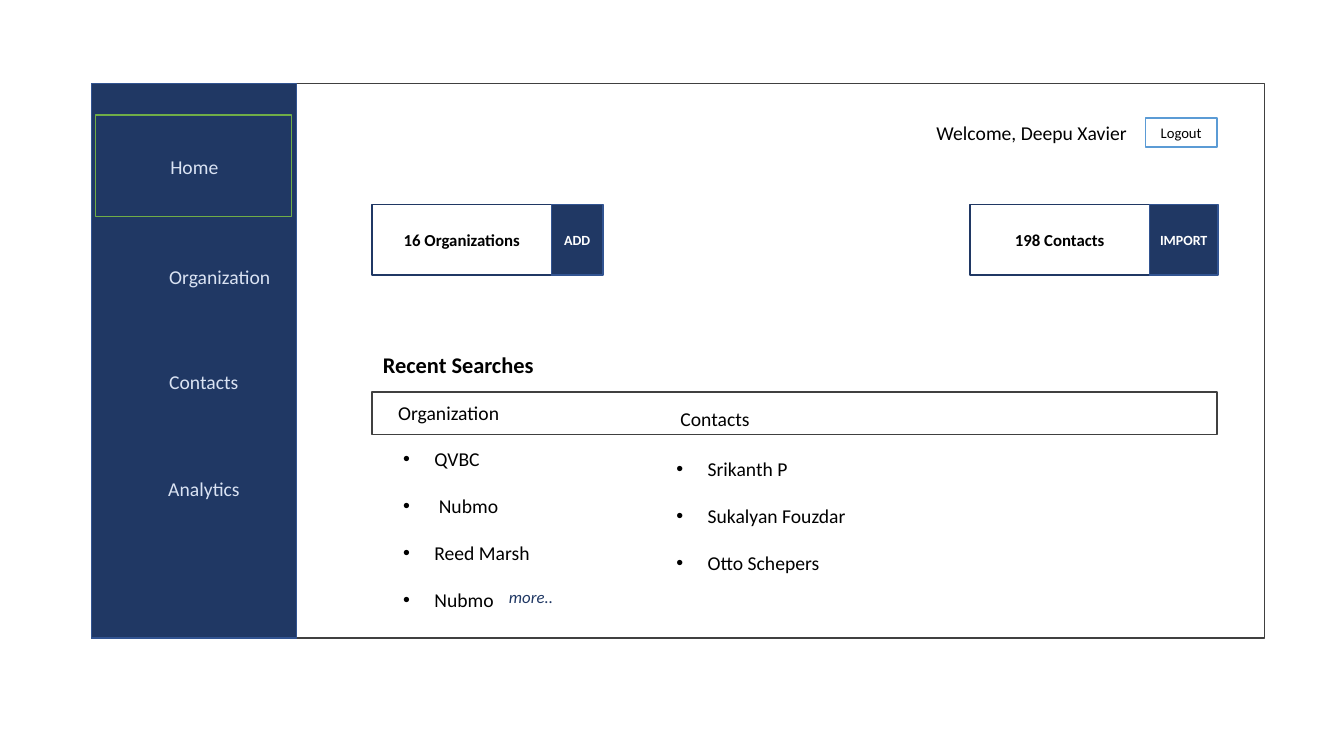
"""Build the dashboard slide: side menu, count cards and recent searches."""
from dataclasses import dataclass
from typing import Any, Optional

from lxml import etree
from pptx import Presentation
from pptx.dml.color import RGBColor
from pptx.enum import shapes, text
from pptx.oxml import ns
from pptx.util import Inches, Pt


@dataclass(frozen=True)
class Theme:
    """Colours, type sizes and font of the slide."""
    navy: str = "203864"
    edge: str = "325491"
    grey: str = "404040"
    sky: str = "5B9BD5"
    green: str = "70AD47"
    pale: str = "DAE3F3"
    black: str = "000000"
    white: str = "FFFFFF"
    head: float = 16
    body: float = 14
    card: float = 12
    small: float = 10.5
    tiny: float = 10
    font: str = "Calibri"


THEME = Theme()


@dataclass(frozen=True)
class Style:
    """Look of a piece of text."""
    size: float = THEME.body
    hue: str = THEME.black
    bold: bool = False
    slant: bool = False


@dataclass(frozen=True)
class Box:
    """Outlined rectangle with an optional centred label."""
    at: tuple[float, float, float, float]
    line: str
    fill: Optional[str] = None
    label: str = ""
    style: Style = Style()


@dataclass(frozen=True)
class Note:
    """Free text, one paragraph for each line."""
    at: tuple[float, float, float, float]
    lines: tuple[str, ...]
    style: Style = Style()
    wrap: bool = False
    list: bool = False


def write(para: Any, words: str, style: Style) -> None:
    """Add one styled run to a paragraph."""
    run = para.add_run()
    run.text = words
    font = run.font
    font.name, font.size = THEME.font, Pt(style.size)
    font.bold, font.italic = style.bold, style.slant
    font.color.rgb = RGBColor.from_string(style.hue)


def bullet(para: Any) -> None:
    """Give a paragraph a hanging bullet and double spacing."""
    para.line_spacing = 2.0
    props = para._p.get_or_add_pPr()
    props.set("marL", str(Inches(0.31)))
    props.set("indent", str(-Inches(0.31)))
    etree.SubElement(props, ns.qn("a:buFont"), typeface="Arial")
    etree.SubElement(props, ns.qn("a:buChar"), char="•")


def draw_box(home: Any, box: Box) -> None:
    """Draw a rectangle and its label."""
    shape = home.add_shape(shapes.MSO_SHAPE.RECTANGLE, *map(Inches, box.at))
    shape.shadow.inherit = False
    shape.line.color.rgb = RGBColor.from_string(box.line)
    shape.line.width = Pt(1)
    if box.fill:
        shape.fill.solid()
        shape.fill.fore_color.rgb = RGBColor.from_string(box.fill)
    else:
        shape.fill.background()
    if box.label:
        frame = shape.text_frame
        frame.margin_left = frame.margin_right = Inches(0.05)
        frame.vertical_anchor = text.MSO_ANCHOR.MIDDLE
        para = frame.paragraphs[0]
        para.alignment = text.PP_ALIGN.CENTER
        write(para, box.label, box.style)


def draw_note(home: Any, note: Note) -> None:
    """Draw a text box."""
    frame = home.add_textbox(*map(Inches, note.at)).text_frame
    frame.word_wrap = note.wrap
    frame.auto_size = text.MSO_AUTO_SIZE.SHAPE_TO_FIT_TEXT
    for index, words in enumerate(note.lines):
        para = frame.add_paragraph() if index else frame.paragraphs[0]
        if note.list:
            bullet(para)
        write(para, words, note.style)


def draw(home: Any, items: tuple) -> None:
    """Draw items from back to front; a tuple becomes a group."""
    for item in items:
        if isinstance(item, tuple):
            draw(home.add_group_shape().shapes, item)
        elif isinstance(item, Box):
            draw_box(home, item)
        else:
            draw_note(home, item)


def card(left: float, label: str, act: str, width: float) -> tuple[Box, Box]:
    """Make a count card with its button."""
    return (
        Box((left, 2.03, 1.78, 0.7), THEME.navy, THEME.white, label,
            Style(THEME.card, bold=True)),
        Box((left + 1.78, 2.03, width, 0.7), THEME.edge, THEME.navy, act,
            Style(THEME.tiny, THEME.white, bold=True)),
    )


MENU = tuple(
    Note((left, top, width, 0.34), (name,), Style(hue=THEME.pale))
    for left, top, width, name in (
        (1.59, 1.49, 0.68, "Home"),
        (1.58, 2.58, 1.22, "Organization"),
        (1.58, 3.62, 0.9, "Contacts"),
        (1.57, 4.68, 0.92, "Analytics"),
    )
)

ITEMS = (
    Box((0.91, 0.83, 11.63, 5.5), THEME.grey),
    Box((0.91, 0.83, 2.03, 5.5), THEME.edge, THEME.navy),
    (
        Note((9.19, 1.15, 2.4, 0.34), ("Welcome, Deepu Xavier",), wrap=True),
        Box((11.36, 1.17, 0.71, 0.29), THEME.sky, THEME.white, "Logout",
            Style(THEME.small)),
    ),
    *MENU,
    Note((3.85, 3.93, 1.24, 0.34), ("Organization",)),
    Note((6.65, 3.99, 0.91, 0.34), ("Contacts",)),
    Note((3.9, 4.15, 2.02, 1.92), ("QVBC", " Nubmo", "Reed Marsh", "Nubmo"),
         wrap=True, list=True),
    Note((6.61, 4.25, 2.02, 1.45),
         ("Srikanth P", "Sukalyan Fouzdar", "Otto Schepers"),
         wrap=True, list=True),
    Note((3.7, 3.43, 2.4, 0.37), ("Recent Searches",),
         Style(THEME.head, bold=True), wrap=True),
    Box((3.69, 3.89, 8.38, 0.42), THEME.grey),
    Note((4.95, 5.77, 0.64, 0.3), ("more..",),
         Style(THEME.card, THEME.navy, slant=True)),
    card(3.69, "16 Organizations", "ADD", 0.51),
    card(9.62, "198 Contacts", "IMPORT", 0.68),
    Box((0.95, 1.14, 1.94, 1.01), THEME.green),
)


def main() -> None:
    """Build and save the deck."""
    deck = Presentation()
    deck.slide_width, deck.slide_height = Inches(13.33), Inches(7.5)
    slide = deck.slides.add_slide(deck.slide_layouts[6])
    draw(slide.shapes, ITEMS)
    deck.save("out.pptx")


if __name__ == "__main__":
    main()
